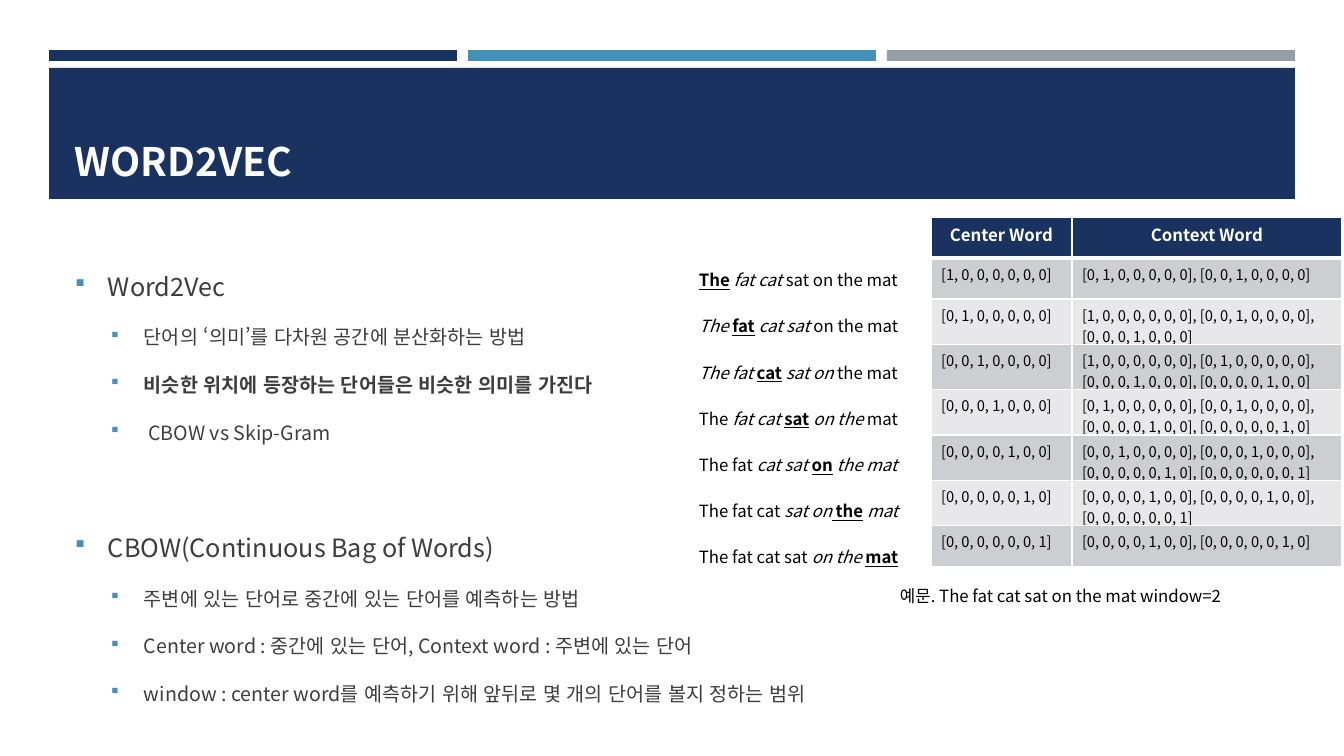
from lxml import etree
from pptx import Presentation
from pptx.dml.color import RGBColor
from pptx.enum.lang import MSO_LANGUAGE_ID
from pptx.enum.shapes import MSO_SHAPE
from pptx.enum.text import MSO_ANCHOR, MSO_AUTO_SIZE, PP_ALIGN
from pptx.oxml.ns import qn
from pptx.util import Pt

RECTANGLE = MSO_SHAPE.RECTANGLE
TOP, BOTTOM = MSO_ANCHOR.TOP, MSO_ANCHOR.BOTTOM
CENTER = PP_ALIGN.CENTER
FIT_SHAPE = MSO_AUTO_SIZE.SHAPE_TO_FIT_TEXT
KOREAN = MSO_LANGUAGE_ID.KOREAN

FONT = "Noto Sans CJK KR"
COLORS = {
    "navy": "1A3260", "blue": "4590B8", "gray": "969FA7", "white": "FFFFFF",
    "text": "3D3D3D", "black": "000000", "band_dark": "CDCED2", "band_light": "E8E8EA",
}
TITLE = "WORD2VEC"
OUTLINE = [
    ("Word2Vec", [
        ("단어의 ‘의미’를 다차원 공간에 분산화하는 방법", False),
        ("비슷한 위치에 등장하는 단어들은 비슷한 의미를 가진다", True),
        (" CBOW vs Skip-Gram", False),
    ]),
    ("CBOW(Continuous Bag of Words)", [
        ("주변에 있는 단어로 중간에 있는 단어를 예측하는 방법", False),
        ("Center word : 중간에 있는 단어, Context word : 주변에 있는 단어", False),
        ("window : center word를 예측하기 위해 앞뒤로 몇 개의 단어를 볼지 정하는 범위", False),
    ]),
]
PLAIN, CONTEXT, FOCUS, UNDERLINED = "plain", "context", "focus", "underlined"
SENTENCES = [
    [("The", FOCUS), (" ", PLAIN), ("fat cat ", CONTEXT), ("sat on the mat", PLAIN)],
    [("The ", CONTEXT), ("fat", FOCUS), (" ", PLAIN), ("cat sat ", CONTEXT), ("on the mat", PLAIN)],
    [("The fat ", CONTEXT), ("cat", FOCUS), (" ", PLAIN), ("sat on ", CONTEXT), ("the mat", PLAIN)],
    [("The ", PLAIN), ("fat cat ", CONTEXT), ("sat", FOCUS), (" ", PLAIN),
     ("on the ", CONTEXT), ("mat", PLAIN)],
    [("The fat ", PLAIN), ("cat sat ", CONTEXT), ("on", FOCUS), (" ", PLAIN), ("the mat", CONTEXT)],
    [("The fat cat ", PLAIN), ("sat on", CONTEXT), (" ", UNDERLINED), ("the", FOCUS),
     (" ", PLAIN), ("mat", CONTEXT)],
    [("The fat cat sat ", PLAIN), ("on the ", CONTEXT), ("mat", FOCUS)],
]
CAPTION = [[("예문. The fat cat sat on the mat window=2", PLAIN)]]
HEADERS = ("Center Word", "Context Word")
CONTEXT_POSITIONS = [
    (1, 2), (0, 2, 3), (0, 1, 3, 4), (1, 2, 4, 5), (2, 3, 5, 6), (4, 4, 6), (4, 5),
]
VOCABULARY_SIZE = 7

SLIDE_WIDTH, SLIDE_HEIGHT = 1344, 756
SCALE = 12192000 / SLIDE_WIDTH
BAR_LEFT, BAR_TOP, BAR_WIDTH, BAR_HEIGHT, BAR_PITCH = 49, 50, 408, 11, 419
BANNER_BOX = (49, 68, 1246, 131)
TITLE_BOX = (65, 77, 1216, 112)
OUTLINE_BOX = (65, 234, 1216, 494)
OUTLINE_INSET = 22
LEVEL_INDENTS = (33, 69)
BULLET_HANG = 33
SENTENCES_BOX = (689, 239, 226, 329)
CAPTION_BOX = (890, 555, 354, 48)
TABLE_BOX = (931, 217, 411, 350)
COLUMN_WIDTHS = (141, 270)
ROW_HEIGHT = 41


def emu(length):
    return round(length * SCALE)


def box(lengths):
    return [emu(length) for length in lengths]


def color(name):
    return RGBColor.from_string(COLORS[name])


def format_run(run, size, color_name, bold=False, italic=False, underline=False):
    font = run.font
    font.size, font.bold, font.italic, font.underline = Pt(size), bold, italic, underline
    font.color.rgb = color(color_name)
    font.name = FONT
    etree.SubElement(font._element, qn("a:ea"), typeface=FONT)


def add_bar(slide, lengths, color_name):
    shape = slide.shapes.add_shape(RECTANGLE, *box(lengths))
    shape.shadow.inherit = False
    shape.fill.solid()
    shape.fill.fore_color.rgb = color(color_name)
    shape.line.fill.background()


def add_text_frame(slide, lengths, anchor=TOP):
    frame = slide.shapes.add_textbox(*box(lengths)).text_frame
    frame.word_wrap = True
    frame.vertical_anchor = anchor
    return frame


def next_paragraph(frame, index):
    return frame.add_paragraph() if index else frame.paragraphs[0]


def add_bullet(paragraph, level):
    properties = paragraph._p.get_or_add_pPr()
    properties.set("marL", str(emu(LEVEL_INDENTS[level])))
    properties.set("indent", str(-emu(BULLET_HANG)))
    bullet_color = etree.SubElement(properties, qn("a:buClr"))
    etree.SubElement(bullet_color, qn("a:srgbClr"), val=COLORS["blue"])
    etree.SubElement(properties, qn("a:buSzPct"), val="92000")
    etree.SubElement(properties, qn("a:buFont"), typeface="Wingdings", charset="2")
    etree.SubElement(properties, qn("a:buChar"), char="§")


def add_outline(slide):
    frame = add_text_frame(slide, OUTLINE_BOX)
    frame.margin_top = emu(OUTLINE_INSET)
    lines = []
    for section, (heading, points) in enumerate(OUTLINE):
        lines.append((heading, 0, 18, False, 46 * section))
        lines += [(text, 1, 14, bold, 2.8) for text, bold in points]
    for index, (text, level, size, bold, space_before) in enumerate(lines):
        paragraph = next_paragraph(frame, index)
        paragraph.text = text
        paragraph.level = level
        paragraph.line_spacing = 1.5
        paragraph.space_before, paragraph.space_after = Pt(space_before), Pt(6)
        add_bullet(paragraph, level)
        run = paragraph.runs[0]
        format_run(run, size, "text", bold)
        run.font.language_id = KOREAN


def add_sentences(slide, lengths, sentences):
    frame = add_text_frame(slide, lengths)
    frame.word_wrap = False
    frame.auto_size = FIT_SHAPE
    for index, sentence in enumerate(sentences):
        paragraph = next_paragraph(frame, index)
        paragraph.line_spacing = Pt(33)
        for text, style in sentence:
            run = paragraph.add_run()
            run.text = text
            format_run(run, 12, "black", style == FOCUS, style == CONTEXT,
                       style in (FOCUS, UNDERLINED))


def one_hot(position):
    return str([int(index == position) for index in range(VOCABULARY_SIZE)])


def add_cell_borders(cell, widths):
    properties = cell._tc.get_or_add_tcPr()
    for side, width in zip("LRTB", widths):
        line = etree.SubElement(properties, qn("a:ln" + side), w=str(Pt(width)))
        fill = etree.SubElement(line, qn("a:solidFill"))
        etree.SubElement(fill, qn("a:srgbClr"), val=COLORS["white"])


def add_vector_table(slide):
    rows = [HEADERS] + [
        (one_hot(center), ", ".join(one_hot(position) for position in positions))
        for center, positions in enumerate(CONTEXT_POSITIONS)
    ]
    graphic_frame = slide.shapes.add_table(len(rows), len(HEADERS), *box(TABLE_BOX))
    table = graphic_frame.table
    for column, width in zip(table.columns, COLUMN_WIDTHS):
        column.width = emu(width)
    for row_index, texts in enumerate(rows):
        table.rows[row_index].height = emu(ROW_HEIGHT)
        header = row_index == 0
        fill_name = "navy" if header else ("band_light", "band_dark")[row_index % 2]
        for column_index, text in enumerate(texts):
            cell = table.cell(row_index, column_index)
            add_cell_borders(cell, (1, 1, 3 if row_index == 1 else 1, 3 if header else 1))
            cell.fill.solid()
            cell.fill.fore_color.rgb = color(fill_name)
            cell.text_frame.text = text
            paragraph = cell.text_frame.paragraphs[0]
            if header:
                paragraph.alignment = CENTER
            format_run(paragraph.runs[0], 12 if header else 10.5,
                       "white" if header else "black", header)
    graphic_frame.height = emu(TABLE_BOX[3])


def main():
    presentation = Presentation()
    presentation.slide_width, presentation.slide_height = box((SLIDE_WIDTH, SLIDE_HEIGHT))
    slide = presentation.slides.add_slide(presentation.slide_layouts[6])
    for index, color_name in enumerate(("navy", "blue", "gray")):
        add_bar(slide, (BAR_LEFT + index * BAR_PITCH, BAR_TOP, BAR_WIDTH, BAR_HEIGHT), color_name)
    add_bar(slide, BANNER_BOX, "navy")
    title_frame = add_text_frame(slide, TITLE_BOX, BOTTOM)
    title_frame.text = TITLE
    format_run(title_frame.paragraphs[0].runs[0], 28, "white", True)
    add_outline(slide)
    add_sentences(slide, SENTENCES_BOX, SENTENCES)
    add_vector_table(slide)
    add_sentences(slide, CAPTION_BOX, CAPTION)
    presentation.save("out.pptx")


if __name__ == "__main__":
    main()
